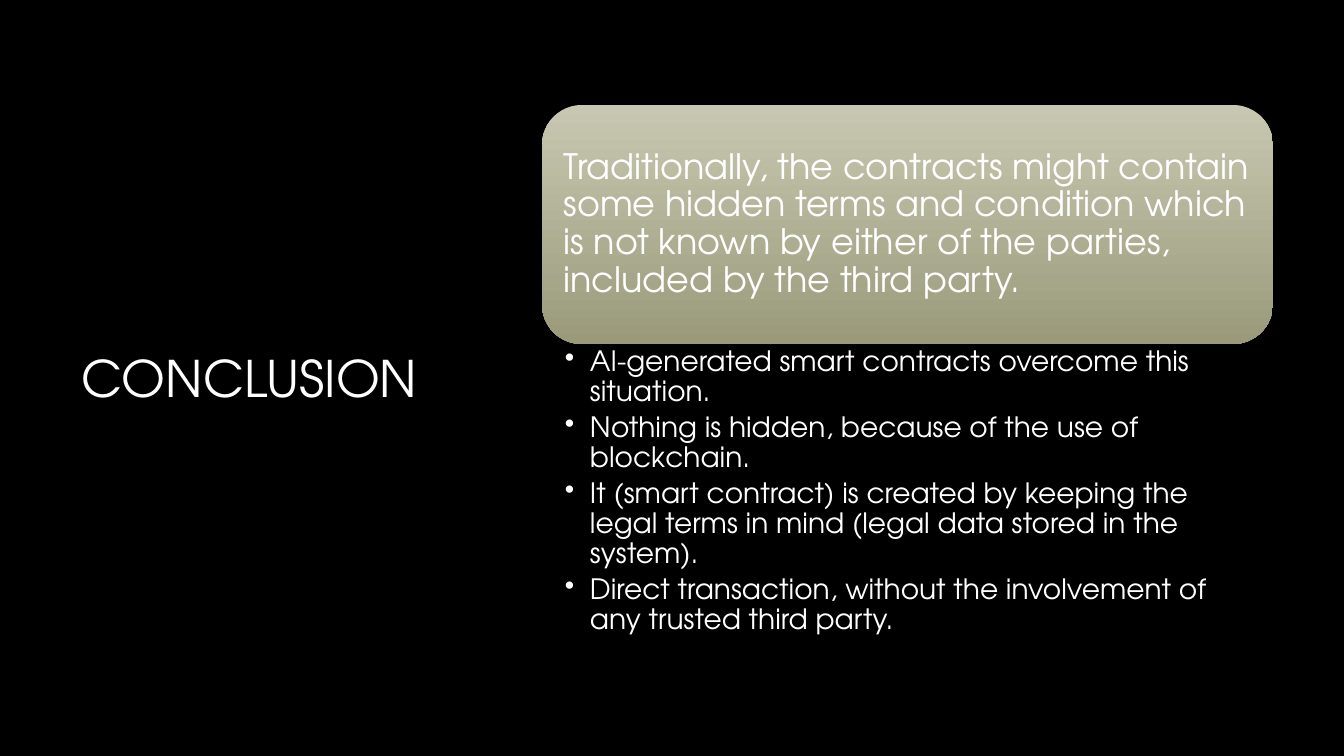
from dataclasses import dataclass

from lxml import etree
from pptx import Presentation
from pptx.dml.color import RGBColor
from pptx.enum.shapes import MSO_SHAPE
from pptx.enum.text import MSO_ANCHOR, MSO_AUTO_SIZE, PP_ALIGN
from pptx.oxml.ns import qn
from pptx.util import Emu, Pt

ROUND = MSO_SHAPE.ROUNDED_RECTANGLE
TOP, MIDDLE = MSO_ANCHOR.TOP, MSO_ANCHOR.MIDDLE
LEFT = PP_ALIGN.LEFT
NO_FIT = MSO_AUTO_SIZE.NONE

WIDE, HIGH = 1344, 756
SCALE = 12192000 / WIDE
TITLE_ONLY = 5


@dataclass(frozen=True)
class Theme:
    font: str = "TeX Gyre Adventor"
    back: str = "000000"
    text: str = "FFFFFF"
    light: str = "C8C8B2"
    dark: str = "9A9A7B"
    title: int = 36
    space: int = 44
    lead: int = 25
    point: int = 20
    line: float = 0.9


@dataclass(frozen=True)
class Box:
    left: int
    top: int
    width: int
    height: int


@dataclass(frozen=True)
class Style:
    size: int
    after: int
    anchor: MSO_ANCHOR
    inset: tuple[int, int, int, int]
    hang: int = 0


THEME = Theme()
TITLE_BOX = Box(72, 152, 391, 452)
CARD_BOX = Box(542, 105, 731, 239)
LIST_BOX = Box(542, 344, 731, 308)

TITLE = Style(THEME.title, 0, MIDDLE, (10, 5, 10, 5))
LEAD = Style(THEME.lead, 9, MIDDLE, (10, 10, 10, 10))
POINT = Style(THEME.point, 4, TOP, (23, 3, 19, 3), hang=25)

LEAD_TEXT = (
    "Traditionally, the contracts might contain some hidden terms and condition "
    "which is not known by either of the parties, included by the third party."
)
POINTS = [
    "AI-generated smart contracts overcome this situation.",
    "Nothing is hidden, because of the use of blockchain.",
    "It (smart contract) is created by keeping the legal terms in mind "
    "(legal data stored in the system).",
    "Direct transaction, without the involvement of any trusted third party.",
]


def px(count: int) -> Emu:
    return Emu(round(count * SCALE))


def rgb(code: str) -> RGBColor:
    return RGBColor.from_string(code)


def place(shape, box: Box) -> None:
    shape.left, shape.top = px(box.left), px(box.top)
    shape.width, shape.height = px(box.width), px(box.height)


def paint(run, size: int) -> None:
    run.font.name = THEME.font
    run.font.size = Pt(size)
    run.font.color.rgb = rgb(THEME.text)


def bullet(para, hang: int) -> None:
    props = para._p.get_or_add_pPr()
    props.set("marL", str(px(hang)))
    props.set("indent", str(-px(hang)))
    etree.SubElement(props, qn("a:buChar")).set("char", "•")


def write(shape, lines: list[str], style: Style) -> None:
    frame = shape.text_frame
    frame.text = "\n".join(lines)
    frame.word_wrap = True
    frame.auto_size = NO_FIT
    frame.vertical_anchor = style.anchor
    (frame.margin_left, frame.margin_top,
     frame.margin_right, frame.margin_bottom) = map(px, style.inset)
    for para in frame.paragraphs:
        para.alignment = LEFT
        para.line_spacing = THEME.line
        para.space_after = Pt(style.after)
        if style.hang:
            bullet(para, style.hang)
        for run in para.runs:
            paint(run, style.size)


def main() -> None:
    deck = Presentation()
    deck.slide_width, deck.slide_height = px(WIDE), px(HIGH)
    slide = deck.slides.add_slide(deck.slide_layouts[TITLE_ONLY])
    slide.background.fill.solid()
    slide.background.fill.fore_color.rgb = rgb(THEME.back)

    # Title, with a larger closing space that sets the line height
    title = slide.shapes.title
    place(title, TITLE_BOX)
    write(title, ["CONCLUSION"], TITLE)
    tail = title.text_frame.paragraphs[0].add_run()
    tail.text = " "
    paint(tail, THEME.space)

    # Lead card, shaded from top to bottom
    card = slide.shapes.add_shape(ROUND, 0, 0, 0, 0)
    place(card, CARD_BOX)
    card.shadow.inherit = False
    card.line.fill.background()
    card.fill.gradient()
    card.fill.gradient_angle = 270
    for stop, code in zip(card.fill.gradient_stops, (THEME.light, THEME.dark)):
        stop.color.rgb = rgb(code)
    write(card, [LEAD_TEXT], LEAD)

    # Bullet list
    points = slide.shapes.add_textbox(0, 0, 0, 0)
    place(points, LIST_BOX)
    write(points, POINTS, POINT)

    deck.save("out.pptx")


if __name__ == "__main__":
    main()
